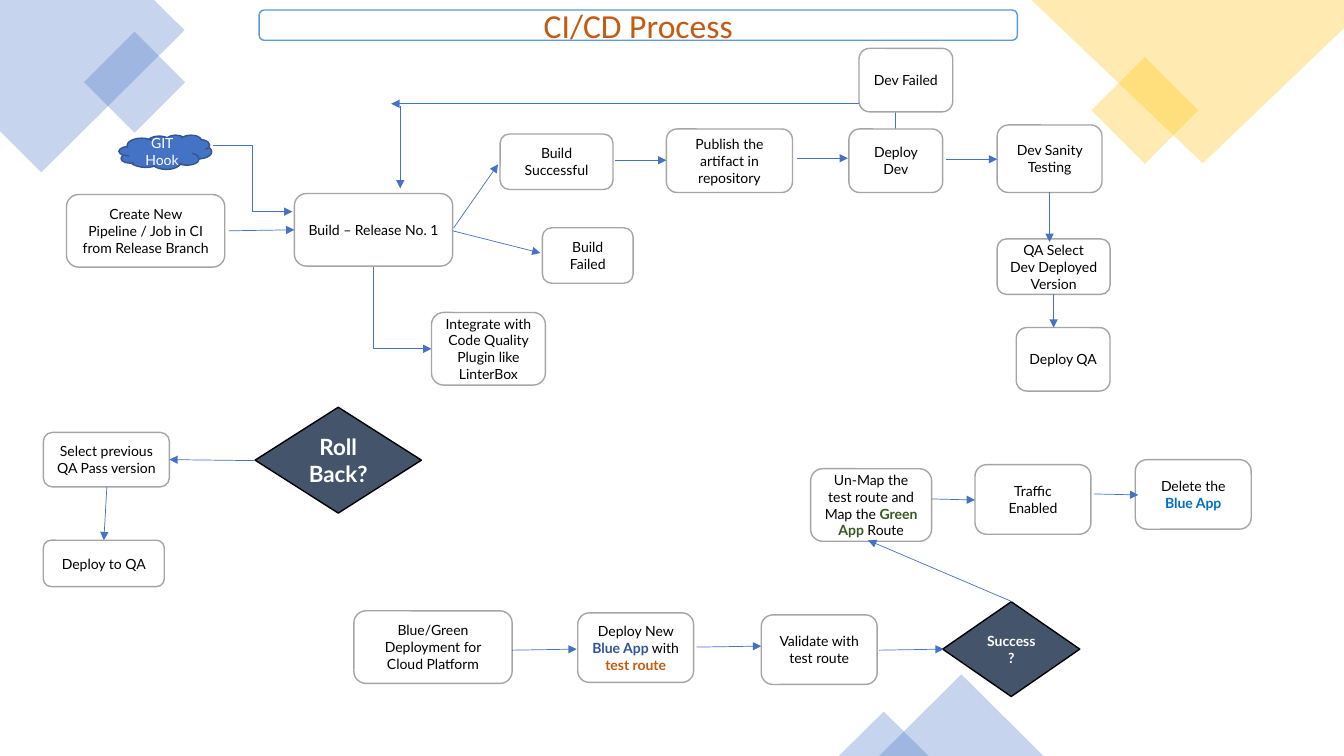
from lxml.etree import SubElement
from pptx import Presentation
from pptx.dml.color import RGBColor
from pptx.enum.shapes import MSO_CONNECTOR as Link, MSO_SHAPE as Shape
from pptx.enum.text import MSO_ANCHOR as Anchor, PP_ALIGN as Align
from pptx.oxml.ns import qn
from pptx.util import Inches, Pt

WHITE = RGBColor(0xFF, 0xFF, 0xFF)
BLACK = RGBColor(0x00, 0x00, 0x00)
BLUE = RGBColor(0x44, 0x72, 0xC4)
GOLD = RGBColor(0xFF, 0xC0, 0x00)
SKY = RGBColor(0x5B, 0x9B, 0xD5)
CLOUD_EDGE = RGBColor(0x32, 0x54, 0x91)
GREY = RGBColor(0xA5, 0xA5, 0xA5)
SLATE = RGBColor(0x44, 0x54, 0x6A)
RUST = RGBColor(0xC5, 0x5A, 0x11)
NAVY = RGBColor(0x2F, 0x55, 0x97)
GREEN = RGBColor(0x38, 0x57, 0x23)
AZURE = RGBColor(0x00, 0x70, 0xC0)

COLUMNS, ROWS = 1333, 750

STEPS = [
    ((428, 310, 113, 72), "Integrate with Code Quality Plugin like LinterBox"),
    ((66, 193, 157, 72), "Create New Pipeline / Job in CI from Release Branch"),
    ((292, 192, 157, 72), "Build – Release No. 1"),
    ((661, 128, 125, 63), "Publish the artifact in repository"),
    ((496, 133, 112, 55), "Build Successful"),
    ((989, 124, 104, 67), "Dev Sanity Testing"),
    ((538, 226, 90, 55), "Build Failed"),
    ((842, 128, 93, 63), "Deploy Dev"),
    ((989, 237, 112, 55), "QA Select Dev Deployed Version"),
    ((1008, 325, 93, 63), "Deploy QA"),
    ((852, 48, 93, 63), "Dev Failed"),
    ((43, 429, 125, 54), "Select previous QA Pass version"),
    ((43, 536, 120, 46), "Deploy to QA"),
    ((351, 606, 157, 72), "Blue/Green Deployment for Cloud Platform"),
    ((573, 608, 115, 69), "Deploy New ", ("Blue App", NAVY), " with ", ("test route", RUST)),
    ((755, 610, 115, 69), "Validate with test route"),
    ((804, 465, 120, 72), "Un-Map the test route and Map the ", ("Green App", GREEN), " Route"),
    ((967, 461, 115, 69), "Traffic Enabled"),
    ((1126, 456, 115, 69), "Delete the ", ("Blue App", AZURE)),
]

ARROWS = [
    (227, 229, 292, 228), (450, 226, 494, 163), (449, 229, 536, 251),
    (610, 159, 661, 159), (790, 157, 841, 157), (938, 158, 989, 158),
    (1041, 190, 1041, 240), (1045, 292, 1045, 325), (397, 105, 397, 187),
    (253, 457, 168, 456), (106, 483, 103, 536), (508, 645, 572, 644),
    (691, 642, 755, 641), (872, 645, 936, 644), (924, 495, 967, 496),
    (1085, 490, 1129, 491), (1004, 597, 861, 536),
]


class FlowBoard:
    text_format = {"name": "Lato", "size": Pt(10), "bold": False}

    def __init__(self, deck):
        self.shapes = deck.slides.add_slide(deck.slide_layouts[6]).shapes
        self.column = deck.slide_width / COLUMNS
        self.row = deck.slide_height / ROWS

    def place(self, *cells):
        return [round(cell * (self.row if index % 2 else self.column))
                for index, cell in enumerate(cells)]

    def tint(self, shape, color):
        shape.shadow.inherit = False
        shape.line.fill.background()
        shape.fill.solid()
        shape.fill.fore_color.rgb = color
        for value in shape._element.spPr.iter(qn("a:srgbClr")):
            SubElement(value, qn("a:alpha"), val="30000")

    def ornament(self, kind, area, color, turn=0):
        shape = self.shapes.add_shape(kind, *self.place(*area))
        shape.rotation = turn
        self.tint(shape, color)

    def polygon(self, points, color):
        builder = self.shapes.build_freeform(*points[0], scale=(self.column, self.row))
        builder.add_line_segments(points[1:], close=True)
        self.tint(builder.convert_to_shape(), color)

    def box(self, area, *spans, kind=Shape.ROUNDED_RECTANGLE, fill=WHITE,
            edge=GREY, ink=BLACK, **changes):
        box = self.shapes.add_shape(kind, *self.place(*area))
        box.shadow.inherit = False
        box.fill.solid()
        box.fill.fore_color.rgb = fill
        box.line.color.rgb = edge
        box.line.width = Pt(1)
        frame = box.text_frame
        frame.word_wrap = True
        frame.vertical_anchor = Anchor.MIDDLE
        para = frame.paragraphs[0]
        para.alignment = Align.CENTER
        for part in spans:
            accented = isinstance(part, tuple)
            words, color = part if accented else (part, ink)
            span = para.add_run()
            span.text = words
            for name, value in {**self.text_format, "bold": accented, **changes}.items():
                setattr(span.font, name, value)
            span.font.color.rgb = color

    def arrow(self, *ends, kind=Link.STRAIGHT):
        arrow = self.shapes.add_connector(kind, *self.place(*ends))
        arrow.line.color.rgb = BLUE
        arrow.line.width = Pt(0.5)
        SubElement(arrow.line._get_or_add_ln(), qn("a:tailEnd"), type="triangle")
        SubElement(arrow._element.spPr, qn("a:effectLst"))
        return arrow

    def corner_arrow(self, x1, y1, x2, y2):
        middle_x, middle_y = (x1 + x2) / 2, (y1 + y2) / 2
        half_x, half_y = (x2 - x1) / 2, (y2 - y1) / 2
        arrow = self.arrow(middle_x + half_y, middle_y - half_x,
                           middle_x - half_y, middle_y + half_x, kind=Link.ELBOW)
        outline = arrow._element.spPr
        outline.find(qn("a:xfrm")).set("rot", "16200000")
        outline.find(qn("a:prstGeom")).set("prst", "bentConnector2")


def main():
    deck = Presentation()
    deck.slide_width, deck.slide_height = Inches(13.33), Inches(7.5)
    board = FlowBoard(deck)

    board.polygon([(153, 0), (0, 0), (0, 130), (41, 171), (183, 30)], BLUE)
    board.ornament(Shape.RECTANGLE, (98, 46, 71, 71), BLUE, turn=315)
    board.ornament(Shape.RECTANGLE, (1098, 72, 75, 75), GOLD, turn=315)
    board.polygon([(1333, 0), (1023, 0), (1193, 162), (1333, 28)], GOLD)
    board.ornament(Shape.ISOSCELES_TRIANGLE, (872, 669, 163, 81), BLUE)
    board.ornament(Shape.ISOSCELES_TRIANGLE, (832, 706, 89, 44), BLUE)

    board.box((257, 10, 752, 30), "CI/CD Process", edge=SKY, ink=RUST,
              name="Calibri", size=Pt(24))
    board.box((118, 134, 92, 34), "GIT Hook", kind=Shape.CLOUD, fill=BLUE,
              edge=CLOUD_EDGE, ink=WHITE)
    board.arrow(211, 144, 290, 210, kind=Link.ELBOW)
    board.corner_arrow(370, 247, 428, 346)
    board.corner_arrow(888, 128, 388, 103)

    for area, *spans in STEPS:
        board.box(area, *spans)
    decision = {"kind": Shape.DIAMOND, "fill": SLATE, "edge": BLACK,
                "ink": WHITE, "bold": True}
    board.box((253, 404, 165, 105), "Roll Back?", size=Pt(16), **decision)
    board.box((935, 597, 136, 94), "Success?", **decision)
    for ends in ARROWS:
        board.arrow(*ends)

    deck.save("out.pptx")


if __name__ == "__main__":
    main()
